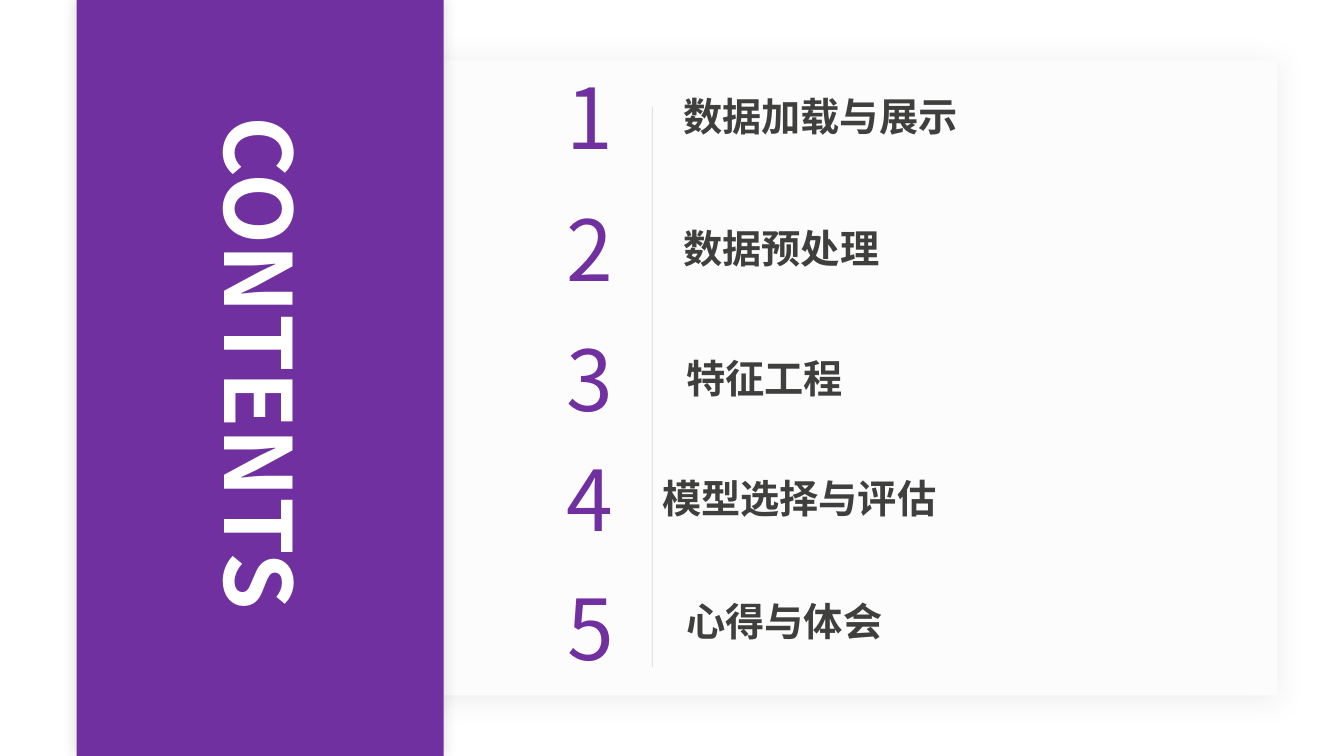
from dataclasses import dataclass

from lxml import etree
from pptx import Presentation
from pptx.dml.color import RGBColor
from pptx.enum.shapes import MSO_CONNECTOR, MSO_SHAPE
from pptx.enum.text import MSO_AUTO_SIZE, PP_ALIGN
from pptx.oxml.ns import qn
from pptx.util import Inches, Pt

RECTANGLE = MSO_SHAPE.RECTANGLE
STRAIGHT = MSO_CONNECTOR.STRAIGHT
GROW = MSO_AUTO_SIZE.SHAPE_TO_FIT_TEXT
LEFT, CENTER = PP_ALIGN.LEFT, PP_ALIGN.CENTER

FONT = "Noto Sans CJK SC"
PURPLE, WHITE, INK = "7030A0", "FFFFFF", "3F403E"
PANEL, GREY = "FCFCFD", "969F98"


@dataclass
class Shadow:
    alpha: int  # percent
    blur: float  # points
    distance: float = 0
    direction: int = 0  # degrees


@dataclass
class Chapter:
    title: str
    left: float
    top: float
    width: float
    number_left: float = 5.52
    number_rise: float = 0.27


CHAPTERS = [
    Chapter("数据加载与展示", 6.68, 0.87, 2.93),
    Chapter("数据预处理", 6.68, 2.18, 2.15),
    Chapter("特征工程", 6.71, 3.47, 1.76),
    Chapter("模型选择与评估", 6.47, 4.66, 2.93),
    Chapter("心得与体会", 6.71, 5.88, 2.15, number_left=5.53, number_rise=0.21),
]


def color(code: str) -> RGBColor:
    return RGBColor.from_string(code)


def add_alpha(color_element, percent: int) -> None:
    etree.SubElement(color_element, qn("a:alpha"), val=str(percent * 1000))


def add_panel(page, left: float, top: float, width: float, height: float,
              fill: str, shadow: Shadow):
    panel = page.shapes.add_shape(
        RECTANGLE, Inches(left), Inches(top), Inches(width), Inches(height))
    panel.fill.solid()
    panel.fill.fore_color.rgb = color(fill)
    panel.line.fill.background()
    panel.shadow.inherit = False
    effects = panel.element.spPr.find(qn("a:effectLst"))
    outer = etree.SubElement(
        effects, qn("a:outerShdw"), blurRad=str(Pt(shadow.blur)),
        dist=str(Pt(shadow.distance)), dir=str(shadow.direction * 60000),
        algn="ctr", rotWithShape="0")
    add_alpha(etree.SubElement(outer, qn("a:srgbClr"), val=GREY), shadow.alpha)
    return panel


def add_text(page, text: str, left: float, top: float, width: float,
             height: float, size: int, code: str, bold: bool = False,
             align=LEFT, spacing: float = 0):
    box = page.shapes.add_textbox(
        Inches(left), Inches(top), Inches(width), Inches(height))
    frame = box.text_frame
    frame.word_wrap = False
    frame.auto_size = GROW
    frame.text = text
    para = frame.paragraphs[0]
    para.alignment = align
    span = para.runs[0]
    span.font.size = Pt(size)
    span.font.bold = bold
    span.font.name = FONT
    span.font.color.rgb = color(code)
    properties = span.font._element
    etree.SubElement(properties, qn("a:ea"), typeface=FONT)
    if spacing:
        properties.set("spc", str(round(spacing * 100)))
    return box


def add_divider(page, x: float, top: float, bottom: float):
    divider = page.shapes.add_connector(
        STRAIGHT, Inches(x), Inches(top), Inches(x), Inches(bottom))
    divider.line.width = Pt(0.5)
    divider.line.color.rgb = color(GREY)
    properties = divider.element.spPr
    add_alpha(next(properties.iter(qn("a:srgbClr"))), 40)
    etree.SubElement(properties, qn("a:effectLst"))
    return divider


def add_chapter(page, number: int, chapter: Chapter) -> None:
    add_text(page, chapter.title, chapter.left, chapter.top, chapter.width,
             0.57, 28, INK, bold=True)
    add_text(page, str(number), chapter.number_left,
             chapter.top - chapter.number_rise, 0.59, 1.11, 60, PURPLE,
             align=CENTER, spacing=-3)


def main() -> None:
    deck = Presentation()
    deck.slide_width, deck.slide_height = Inches(13.33), Inches(7.5)
    page = deck.slides.add_slide(deck.slide_layouts[6])

    # Background panel and purple band
    add_panel(page, 2.45, 0.6, 10.22, 6.3, PANEL, Shadow(20, 20, 3, 90))
    add_panel(page, 0.76, 0, 3.64, 7.5, PURPLE, Shadow(40, 10))

    # Vertical heading
    heading = add_text(page, "CONTENTS", -0.11, 3.15, 5.39, 1.21, 66, WHITE,
                       bold=True)
    heading.rotation = 90

    # Chapter list
    add_divider(page, 6.47, 1.06, 6.62)
    for number, chapter in enumerate(CHAPTERS, start=1):
        add_chapter(page, number, chapter)

    deck.save("out.pptx")


if __name__ == "__main__":
    main()
